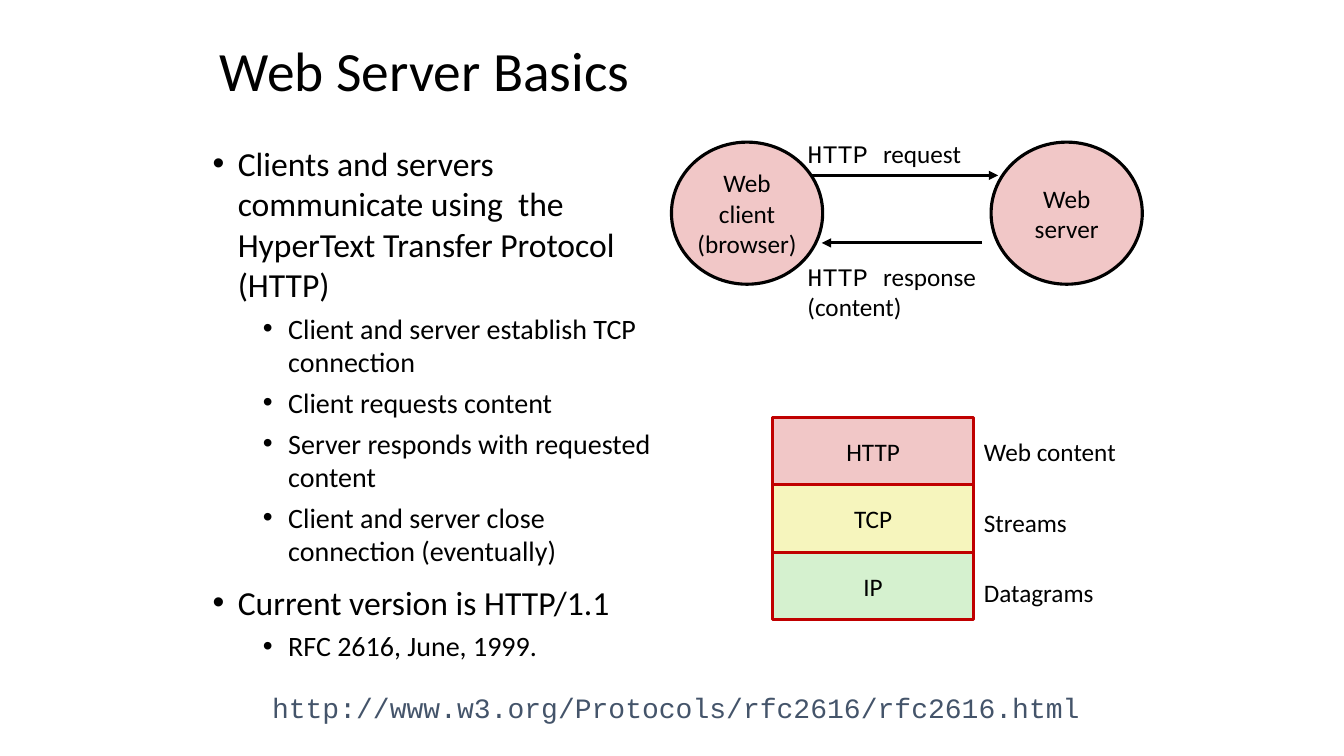
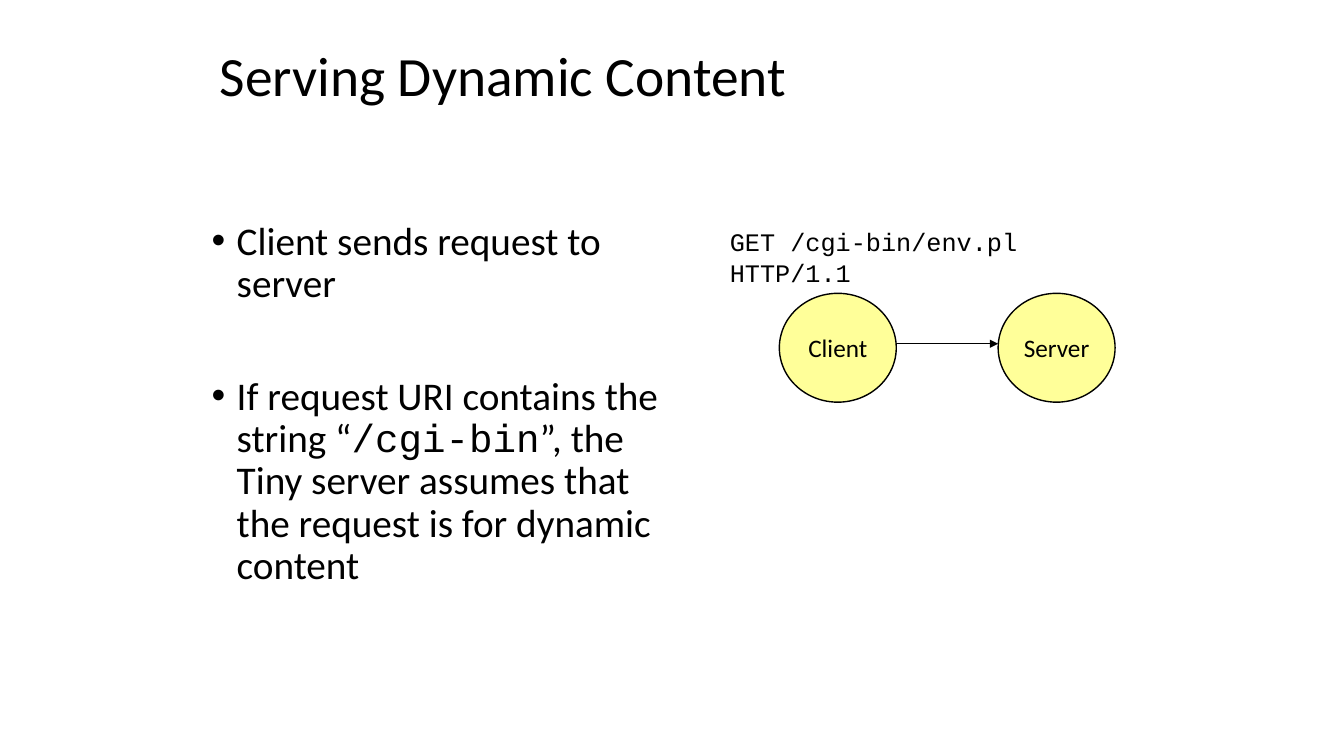
from lxml import etree
from pptx import Presentation
from pptx.dml.color import RGBColor
from pptx.enum.shapes import MSO_CONNECTOR, MSO_SHAPE
from pptx.enum.text import MSO_ANCHOR, MSO_AUTO_SIZE, PP_ALIGN
from pptx.oxml.ns import qn
from pptx.util import Inches, Pt

LEFT, CENTER = PP_ALIGN.LEFT, PP_ALIGN.CENTER
TOP, MIDDLE = MSO_ANCHOR.TOP, MSO_ANCHOR.MIDDLE
FIXED = MSO_AUTO_SIZE.NONE
OVAL, RECT = MSO_SHAPE.OVAL, MSO_SHAPE.RECTANGLE
STRAIGHT = MSO_CONNECTOR.STRAIGHT
TITLE_ONLY = 5

BODY, MONO = "Calibri", "Courier New"
BLACK, WHITE, SLATE, RED = "000000", "FFFFFF", "44546A", "C00000"
PINK, CREAM, GREEN, YELLOW = "F1C7C7", "F6F5BD", "D5F1CF", "FFFF99"


def color(code):
    """Turn a hex string into a colour."""
    return RGBColor.from_string(code)


def place(shape, box):
    """Move and size a shape to a box in inches."""
    shape.left, shape.top, shape.width, shape.height = map(Inches, box)


def style(font, size, name=BODY, ink=BLACK):
    """Set the face, size and colour of a font."""
    font.name, font.size = name, Pt(size)
    font.color.rgb = color(ink)


def fill_par(par, text, size, ink=BLACK):
    """Write a paragraph whose backticked parts are monospaced."""
    for i, part in enumerate(text.split("`")):
        if part:
            run = par.add_run()
            run.text = part
            style(run.font, size, MONO if i % 2 else BODY, ink)


def write(shape, lines, size=18, align=LEFT, anchor=TOP, ink=BLACK, wrap=True):
    """Fill a shape with one paragraph for each line."""
    frame = shape.text_frame
    frame.word_wrap, frame.auto_size = wrap, FIXED
    frame.vertical_anchor = anchor
    for i, line in enumerate(lines):
        par = frame.add_paragraph() if i else frame.paragraphs[0]
        par.alignment = align
        fill_par(par, line, size, ink)
    return frame


def label(slide, box, *lines, size=18, ink=BLACK):
    """Add a plain text box."""
    return write(slide.shapes.add_textbox(*map(Inches, box)), lines, size, ink=ink)


def node(slide, kind, box, lines, fill, line=BLACK, weight=2.25):
    """Add an outlined shape with centred text."""
    shape = slide.shapes.add_shape(kind, *map(Inches, box))
    shape.shadow.inherit = False
    shape.fill.solid()
    shape.fill.fore_color.rgb = color(fill)
    shape.line.color.rgb = color(line)
    shape.line.width = Pt(weight)
    write(shape, lines, align=CENTER, anchor=MIDDLE, wrap=False)


def arrow(slide, start, end, y, weight=2.25):
    """Add a level arrow that points to its end."""
    link = slide.shapes.add_connector(
        STRAIGHT, Inches(start), Inches(y), Inches(end), Inches(y))
    link.line.color.rgb = color(BLACK)
    link.line.width = Pt(weight)
    etree.SubElement(link.line._get_or_add_ln(), qn("a:tailEnd"), type="triangle")
    etree.SubElement(link._element.spPr, qn("a:effectLst"))


def bullets(slide, box, items, sizes, spacing, gap=10):
    """Add a list of (level, text) bullets."""
    frame = label(slide, box)
    for i, (level, text) in enumerate(items):
        par = frame.add_paragraph() if i else frame.paragraphs[0]
        par.level = level
        par.line_spacing = spacing
        par.space_before = Pt((5 if level else gap) if i else 0)
        props = par._p.get_or_add_pPr()
        props.set("marL", str(Inches(0.25 + 0.5 * level)))
        props.set("indent", str(Inches(-0.25)))
        etree.SubElement(props, qn("a:buFont"), typeface="Arial")
        etree.SubElement(props, qn("a:buChar"), char="•")
        fill_par(par, text, sizes[level])


def new_slide(deck, text, box):
    """Add a white slide with a title."""
    slide = deck.slides.add_slide(deck.slide_layouts[TITLE_ONLY])
    slide.background.fill.solid()
    slide.background.fill.fore_color.rgb = color(WHITE)
    title = slide.shapes.title
    place(title, box)
    frame = write(title, [text], 39.6, anchor=MIDDLE)
    frame.paragraphs[0].line_spacing = 0.9
    return slide


def exchange(slide, x, y):
    """Draw the request and response between browser and server."""
    arrow(slide, x + 1.33, x + 3.24, y + 0.33)
    arrow(slide, x + 3.08, x + 1.49, y + 1)
    parts = [("Web", "client", "(browser)"), ("Web", "server")]
    for i, lines in enumerate(parts):
        node(slide, OVAL, (x + 3.17 * i, y, 1.5, 1.41), lines, PINK)
    label(slide, (x + 1.25, y - 0.09, 1.8, 0.4), "`HTTP `request")
    label(slide, (x + 1.25, y + 1.13, 1.95, 0.71), "`HTTP `response", "(content)")


def stack(slide, x, y):
    """Draw the protocol layers with what each one carries."""
    layers = [("HTTP", PINK, "Web content"), ("TCP", CREAM, "Streams"),
              ("IP", GREEN, "Datagrams")]
    for i, (name, fill, load) in reversed(list(enumerate(layers))):
        node(slide, RECT, (x, y + 0.67 * i, 2, 0.67), [name], fill, RED)
        label(slide, (x + 2, y + 0.14 + 0.7 * i, 1.6, 0.4), load)


def call(slide, x, y):
    """Draw a client sending its request line to a server."""
    label(slide, (x, y, 4.38, 0.71), "`GET /cgi-bin/env.pl HTTP/1.1`")
    for i, name in enumerate(["Client", "Server"]):
        node(slide, OVAL, (x + 0.59 + 2.17 * i, y + 0.71, 1.16, 1.08),
             [name], YELLOW, weight=1)
    arrow(slide, x + 1.76, x + 2.76, y + 1.21, 1)


def basics(deck):
    """Build the slide on web server basics."""
    slide = new_slide(deck, "Web Server Basics", (2.08, 0.36, 6.74, 0.73))
    bullets(slide, (2.01, 1.37, 4.58, 5.37), [
        (0, "Clients and servers communicate using  the HyperText Transfer Protocol (HTTP)"),
        (1, "Client and server establish TCP connection"),
        (1, "Client requests content"),
        (1, "Server responds with requested content"),
        (1, "Client and server close connection (eventually)"),
        (0, "Current version is HTTP/1.1"),
        (1, "RFC 2616, June, 1999."),
    ], (24, 20), 1.0)
    exchange(slide, 6.66, 1.41)
    stack(slide, 7.66, 4.14)
    label(slide, (2.6, 6.8, 8.4, 0.44),
          "`http://www.w3.org/Protocols/rfc2616/rfc2616.html`", size=20, ink=SLATE)


def dynamic(deck):
    """Build the slide on serving dynamic content."""
    slide = new_slide(deck, "Serving Dynamic Content", (2.08, 0.46, 6.67, 0.63))
    bullets(slide, (2, 2.15, 4.84, 4.87), [
        (0, "Client sends request to server"),
        (0, "If request URI contains the string “`/cgi-bin`”, the Tiny server "
            "assumes that the request is for dynamic content"),
    ], (28,), 0.9, gap=50)
    call(slide, 7.14, 2.2)


def main():
    """Build and save the deck."""
    deck = Presentation()
    deck.slide_width, deck.slide_height = Inches(13.33), Inches(7.5)
    basics(deck)
    dynamic(deck)
    deck.save("out.pptx")


if __name__ == "__main__":
    main()
